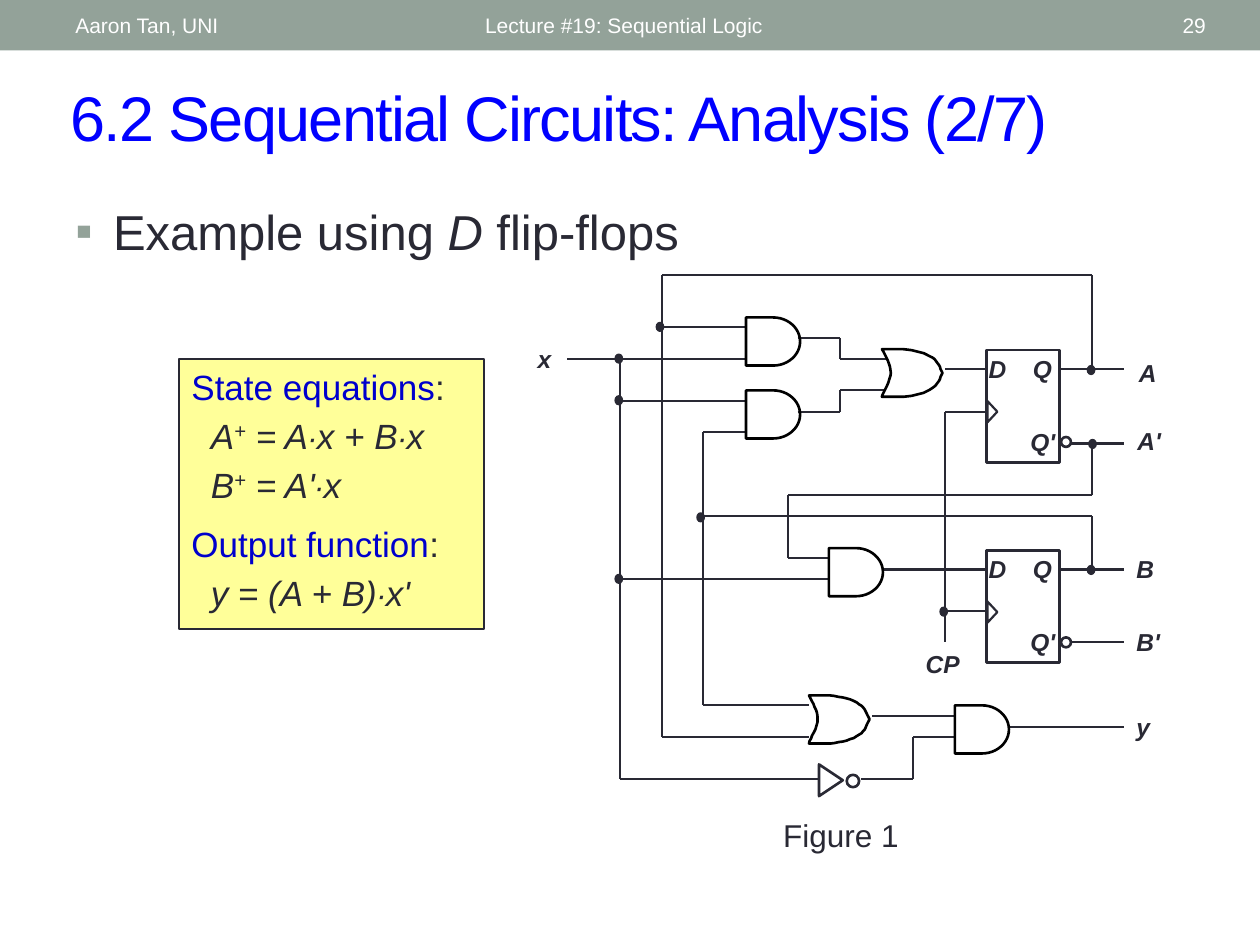
"""Build the slide on analysing a sequential circuit with D flip-flops."""
from itertools import pairwise

from lxml.etree import SubElement
from pptx import Presentation
from pptx.dml.color import RGBColor
from pptx.enum.shapes import MSO_CONNECTOR as Connector, MSO_SHAPE as Shape
from pptx.enum.text import MSO_ANCHOR as Anchor, MSO_AUTO_SIZE as AutoSize, PP_ALIGN as Align
from pptx.oxml.ns import qn
from pptx.util import Cm, Pt

COLORS = {
    "ink": "292934", "band": "93A299", "title": "0000FF", "heading": "0000CC",
    "note": "FFFF99", "white": "FFFFFF", "gate": "000000",
}


def lengths(*inches):
    return [Cm(round(value * 2.54, 2)) for value in inches]


def add_shape(kind, box, fill=None, line=None, width=1.5, rotation=0):
    shape = slide.shapes.add_shape(kind, *lengths(*box))
    shape.shadow.inherit = False
    shape.rotation = rotation
    if fill:
        shape.fill.solid()
        shape.fill.fore_color.rgb = RGBColor.from_string(COLORS[fill])
    else:
        shape.fill.background()
    if line:
        shape.line.color.rgb = RGBColor.from_string(COLORS[line])
        shape.line.width = Pt(width)
    else:
        shape.line.fill.background()
    return shape


presentation = Presentation()
presentation.slide_width, presentation.slide_height = lengths(10, 7.5)
slide = presentation.slides.add_slide(presentation.slide_layouts[5])

add_shape(Shape.RECTANGLE, (0, 0, 10, 0.4), fill="band")
title = slide.shapes.title
title.left, title.top, title.width, title.height = lengths(0.46, 0.57, 9.21, 0.7)

wires = [
    [(8.42, 2.93), (8.92, 2.93)],
    [(8.67, 2.93), (8.67, 2.18), (5.25, 2.18), (5.25, 5.85), (6.42, 5.85)],
    [(8.42, 3.52), (8.92, 3.52)],
    [(8.67, 3.52), (8.67, 3.93), (6.25, 3.93), (6.25, 4.43), (6.58, 4.43)],
    [(8.42, 4.52), (8.92, 4.52)],
    [(8.67, 4.52), (8.67, 4.1), (5.58, 4.1)],
    [(5.92, 3.43), (5.58, 3.43), (5.58, 5.6), (6.42, 5.6)],
    [(8.42, 5.1), (8.92, 5.1)],
    [(4.5, 2.85), (5.92, 2.85)],
    [(4.92, 2.85), (4.92, 6.18), (6.5, 6.18)],
    [(4.92, 3.18), (5.92, 3.18)],
    [(4.92, 4.6), (6.58, 4.6)],
    [(5.25, 2.6), (5.92, 2.6)],
    [(6.83, 6.18), (7.25, 6.18), (7.25, 5.85), (7.58, 5.85)],
    [(6.33, 2.68), (6.67, 2.68), (6.67, 2.85), (7.03, 2.85)],
    [(6.33, 3.27), (6.67, 3.27), (6.67, 3.1), (7.03, 3.1)],
    [(7.5, 2.93), (7.83, 2.93)],
    [(7, 4.52), (7.83, 4.52)],
    [(6.92, 5.68), (7.58, 5.68)],
    [(8, 5.77), (8.92, 5.77)],
    [(7.83, 3.27), (7.5, 3.27), (7.5, 5.1)],
    [(7.5, 4.85), (7.83, 4.85)],
]
for wire in wires:
    for start, end in pairwise(wire):
        connector = slide.shapes.add_connector(Connector.STRAIGHT, *lengths(*start, *end))
        connector.line.color.rgb = RGBColor.from_string(COLORS["ink"])
        connector.line.width = Pt(1.25)
        SubElement(connector.element.spPr, qn("a:effectLst"))

junctions = [
    (8.64, 3.49), (8.63, 2.9), (8.63, 4.49), (5.21, 2.56), (4.88, 2.81),
    (4.88, 3.14), (4.88, 4.56), (7.46, 4.82), (5.53, 4.07),
]
for left, top in junctions:
    add_shape(Shape.OVAL, (left, top, 0.06, 0.07), fill="ink", line="ink", width=0.75)

for left, top in [(5.92, 2.52), (5.92, 3.1), (6.58, 4.35), (7.58, 5.6)]:
    add_shape(Shape.FLOWCHART_DELAY, (left, top, 0.43, 0.38), line="gate")

or_curves = [
    [(0.17, 0), (0.26, 0.01), (0.35, 0.03), (0.4, 0.07)],
    [(0.4, 0.07), (0.45, 0.1), (0.46, 0.15), (0.48, 0.19)],
    [(0.48, 0.19), (0.46, 0.23), (0.45, 0.28), (0.4, 0.31)],
    [(0.4, 0.31), (0.35, 0.35), (0.26, 0.37), (0.17, 0.38)],
    [(0, 0.38), (0.01, 0.34), (0.07, 0.25), (0.07, 0.19)],
    [(0.07, 0.19), (0.07, 0.12), (0.03, 0.06), (0, 0)],
]
steps = 8
or_outline = []
for curve in or_curves:
    for step in range(steps + 1):
        t = step / steps
        weights = ((1 - t) ** 3, 3 * t * (1 - t) ** 2, 3 * t * t * (1 - t), t ** 3)
        or_outline.append([sum(w * point[axis] for w, point in zip(weights, curve)) for axis in (0, 1)])
for left, top in [(7, 2.77), (6.42, 5.52)]:
    points = [lengths(left + x, top + y) for x, y in or_outline]
    builder = slide.shapes.build_freeform(*points[0])
    builder.add_line_segments(points[1:], close=True)
    or_gate = builder.convert_to_shape()
    or_gate.shadow.inherit = False
    or_gate.fill.background()
    or_gate.line.color.rgb = RGBColor.from_string(COLORS["gate"])
    or_gate.line.width = Pt(1.5)

add_shape(Shape.FLOWCHART_EXTRACT, (6.47, 6.1, 0.25, 0.19), line="ink", rotation=90)
add_shape(Shape.OVAL, (6.72, 6.15, 0.1, 0.1), line="ink")

labels = [
    ("A", 8.94, 2.79, 0.34), ("A'", 8.93, 3.33, 0.39), ("B", 8.92, 4.35, 0.34),
    ("B'", 8.92, 4.93, 0.39), ("y", 8.92, 5.6, 0.31), ("x", 4.17, 2.68, 0.31),
    ("CP", 7.25, 5.1, 0.47),
]
for top in (2.78, 4.37):
    add_shape(Shape.RECTANGLE, (7.83, top, 0.58, 0.89), line="ink")
    add_shape(Shape.ISOSCELES_TRIANGLE, (7.79, top + 0.45, 0.17, 0.08), line="ink", width=1.25, rotation=90)
    add_shape(Shape.OVAL, (8.42, top + 0.69, 0.08, 0.08), fill="white", line="ink")
    labels += [("D", 7.75, top - 0.02, 0.34), ("Q", 8.1, top - 0.02, 0.35), ("Q'", 8.08, top + 0.56, 0.42)]

header = {"size": Pt(12), "color": "white"}
heading = {"size": Pt(20), "color": "heading"}
plain = {"size": Pt(20)}
italic = {"size": Pt(20), "italic": True}
plus = ("+", {**italic, "raised": True})
dot = ("∙", {"size": Pt(18), "italic": True})
bullet = {"size": Pt(28)}
label_format = {"size": Pt(14), "bold": True, "italic": True}
left, middle = {"alignment": Align.LEFT}, {"vertical_anchor": Anchor.MIDDLE, "word_wrap": True}
wrapped = {"vertical_anchor": Anchor.TOP, "word_wrap": True}
equation = {**left, "space_before": Pt(4)}
equation_indent = Cm(0.39)

note = add_shape(Shape.RECTANGLE, (1.42, 2.85, 2.42, 2.14), fill="note", line="ink", width=0.75)
texts = [
    (title, {**middle, "auto_size": AutoSize.NONE}, [
        (left, 0, [("6.2 Sequential Circuits: Analysis (2/7)", {"size": Pt(36), "color": "title", "spacing": "-100"})])]),
    ((3.75, 0.02, 4.5, 0.36), middle, [(left, 0, [("Lecture #19: Sequential Logic", header)])]),
    ((8.72, 0.02, 0.95, 0.36), middle, [({"alignment": Align.RIGHT}, 0, [("29", header)])]),
    ((0.5, 0.02, 3.17, 0.36), middle, [(left, 0, [("Aaron Tan, UNI", header)])]),
    ((0.5, 1.55, 9, 0.62), wrapped, [({**left, "space_before": Pt(3)}, Cm(0.76), [
        ("Example using ", bullet), ("D", {**bullet, "italic": True}), (" flip-flops", bullet)])]),
    (note, wrapped, [
        ({**left, "space_before": Pt(2)}, 0, [("State equations", heading), (":", plain)]),
        (equation, equation_indent, [
            ("A", italic), plus, (" = A", italic), dot, ("x + B", italic), dot, ("x", italic)]),
        (equation, equation_indent, [("B", italic), plus, (" = A'", italic), dot, ("x", italic)]),
        ({**left, "space_before": Pt(10)}, 0, [("Output function", heading), (":", plain)]),
        (equation, equation_indent, [("y = (A + B)", italic), dot, ("x'", italic)])]),
    ((6.12, 6.43, 1.25, 0.4), wrapped, [(left, 0, [("Figure 1", {"size": Pt(18)})])]),
]
for text, x, y, width in labels:
    texts.append(((x, y, width, 0.33), {"word_wrap": False}, [(left, 0, [(text, label_format)])]))

for target, frame_format, paragraphs in texts:
    shape = slide.shapes.add_textbox(*lengths(*target)) if isinstance(target, tuple) else target
    frame = shape.text_frame
    for name, value in frame_format.items():
        setattr(frame, name, value)
    for index, (paragraph_format, indent, runs) in enumerate(paragraphs):
        paragraph = frame.add_paragraph() if index else frame.paragraphs[0]
        for name, value in paragraph_format.items():
            setattr(paragraph, name, value)
        if indent:
            properties = paragraph._p.get_or_add_pPr()
            properties.set("marL", str(indent))
            if runs[0][1] is bullet:
                properties.set("indent", str(-indent))
                SubElement(SubElement(properties, qn("a:buClr")), qn("a:srgbClr"), val=COLORS["band"])
                SubElement(properties, qn("a:buFont"), typeface="Arial")
                SubElement(properties, qn("a:buChar"), char="▪")
        for text, run_format in runs:
            run = paragraph.add_run()
            run.text = text
            run.font.name = "Arial"
            run.font.color.rgb = RGBColor.from_string(COLORS[run_format.get("color", "ink")])
            for name, value in run_format.items():
                if name == "raised":
                    run._r.get_or_add_rPr().set("baseline", "30000")
                elif name == "spacing":
                    run._r.get_or_add_rPr().set("spc", value)
                elif name != "color":
                    setattr(run.font, name, value)

presentation.save("out.pptx")
